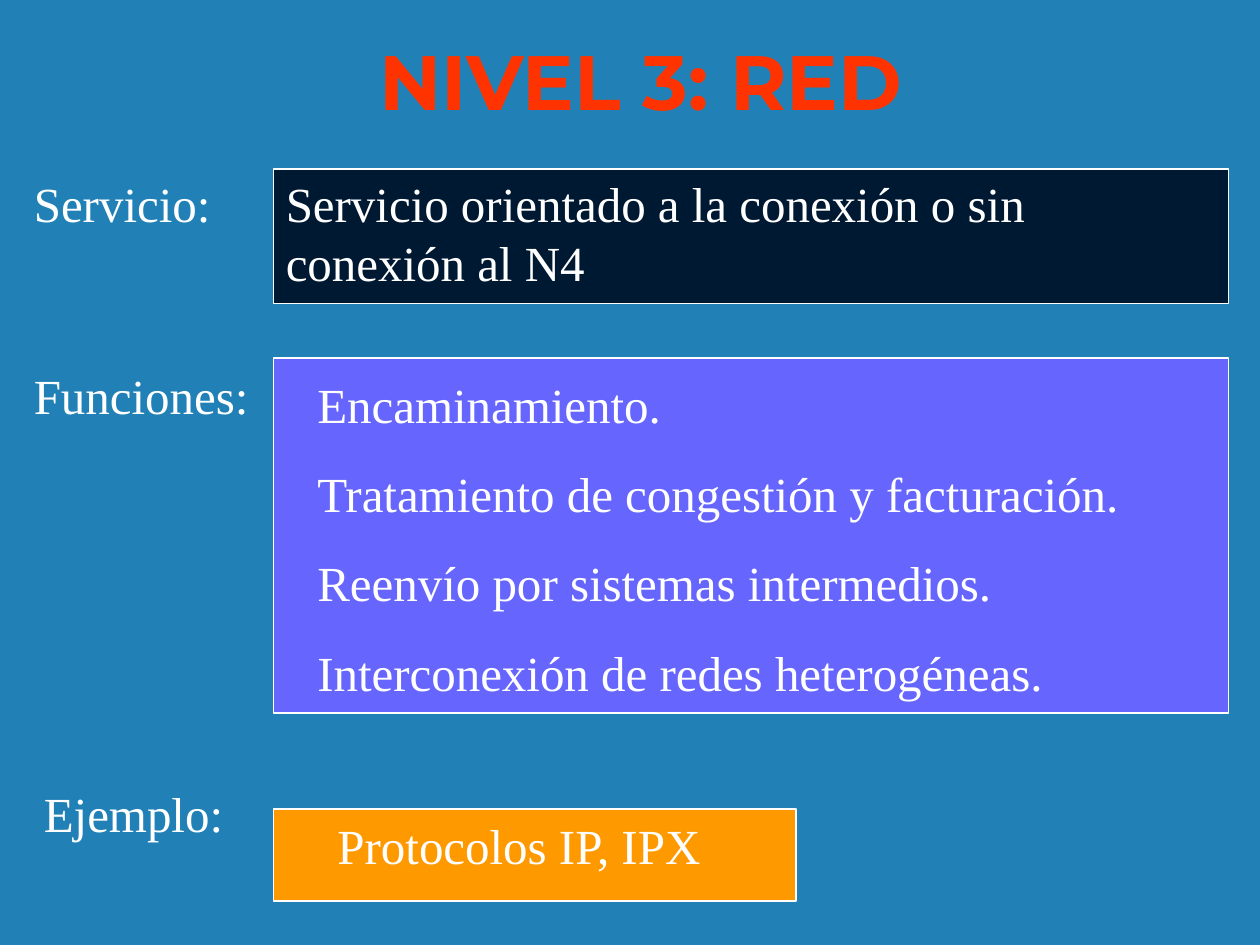
import pptx
import pptx.util
import pptx.dml.color
import pptx.enum.shapes
import pptx.enum.text
import pptx.oxml
import pptx.oxml.ns

Inches, Pt = pptx.util.Inches, pptx.util.Pt
RGB = pptx.dml.color.RGBColor.from_string
TEXT = pptx.enum.text

COLORS = {"back": "2181B7", "title": "FF3300", "text": "FFFFFF",
          "service": "001932", "tasks": "6666FF", "sample": "FF9900"}
HEAD = {"name": "Montserrat", "size": Pt(44), "bold": True}
BODY = {"name": "Times New Roman", "size": Pt(28), "bold": False}


def style(font, form, color):
    for key, value in form.items():
        setattr(font, key, value)
    font.color.rgb = RGB(COLORS[color])


deck = pptx.Presentation()
deck.slide_width, deck.slide_height = Inches(10), Inches(7.5)
slide = deck.slides.add_slide(deck.slide_layouts[5])
slide.background.fill.solid()
slide.background.fill.fore_color.rgb = RGB(COLORS["back"])

# Title with a text shadow
title = slide.shapes.title
title.left, title.top = Inches(1.17), Inches(0.17)
title.width, title.height = Inches(7.83), Inches(0.92)
frame = title.text_frame
frame.text = "NIVEL 3: RED"
frame.vertical_anchor = TEXT.MSO_ANCHOR.MIDDLE
frame.auto_size = TEXT.MSO_AUTO_SIZE.NONE
frame.paragraphs[0].alignment = TEXT.PP_ALIGN.CENTER
run = frame.paragraphs[0].runs[0]
style(run.font, HEAD, "title")
shade = pptx.oxml.parse_xml(
    f'<a:effectLst {pptx.oxml.ns.nsdecls("a")}>'
    '<a:outerShdw dist="35921" dir="2700000"><a:srgbClr val="000000"/>'
    '</a:outerShdw></a:effectLst>')
run.font.fill._xPr.find(pptx.oxml.ns.qn("a:solidFill")).addnext(shade)

# Panels
panels = [("service", 1.34, 7.58, 1.07),
          ("tasks", 2.84, 7.58, 2.82),
          ("sample", 6.42, 4.15, 0.73)]
for color, top, width, height in panels:
    panel = slide.shapes.add_shape(
        pptx.enum.shapes.MSO_SHAPE.RECTANGLE,
        Inches(2.17), Inches(top), Inches(width), Inches(height))
    panel.shadow.inherit = False
    panel.fill.solid()
    panel.fill.fore_color.rgb = RGB(COLORS[color])
    panel.line.color.rgb = RGB(COLORS["text"])
    panel.line.width = Pt(1)

# Labels and panel texts
texts = [
    (0.17, 1.33, 2.58, 0.57, ["Servicio:"]),
    (0.17, 2.85, 2, 0.57, ["Funciones:"]),
    (0.25, 6.17, 2.17, 0.57, ["Ejemplo:"]),
    (2.17, 1.33, 7, 1.04,
     ["Servicio orientado a la conexión o sin conexión al N4"]),
    (2.42, 2.92, 7.58, 2.7,
     ["Encaminamiento.",
      "Tratamiento de congestión y facturación.",
      "Reenvío por sistemas intermedios.",
      "Interconexión de redes heterogéneas."]),
    (2.58, 6.42, 3.75, 0.57, ["Protocolos IP, IPX"]),
]
for left, top, width, height, lines in texts:
    box = slide.shapes.add_textbox(
        Inches(left), Inches(top), Inches(width), Inches(height))
    frame = box.text_frame
    frame.word_wrap = True
    frame.auto_size = TEXT.MSO_AUTO_SIZE.SHAPE_TO_FIT_TEXT
    frame.text = "\n".join(lines)
    for index, para in enumerate(frame.paragraphs):
        if index:
            para.space_before = Pt(17.5)
        style(para.runs[0].font, BODY, "text")

deck.save("out.pptx")
